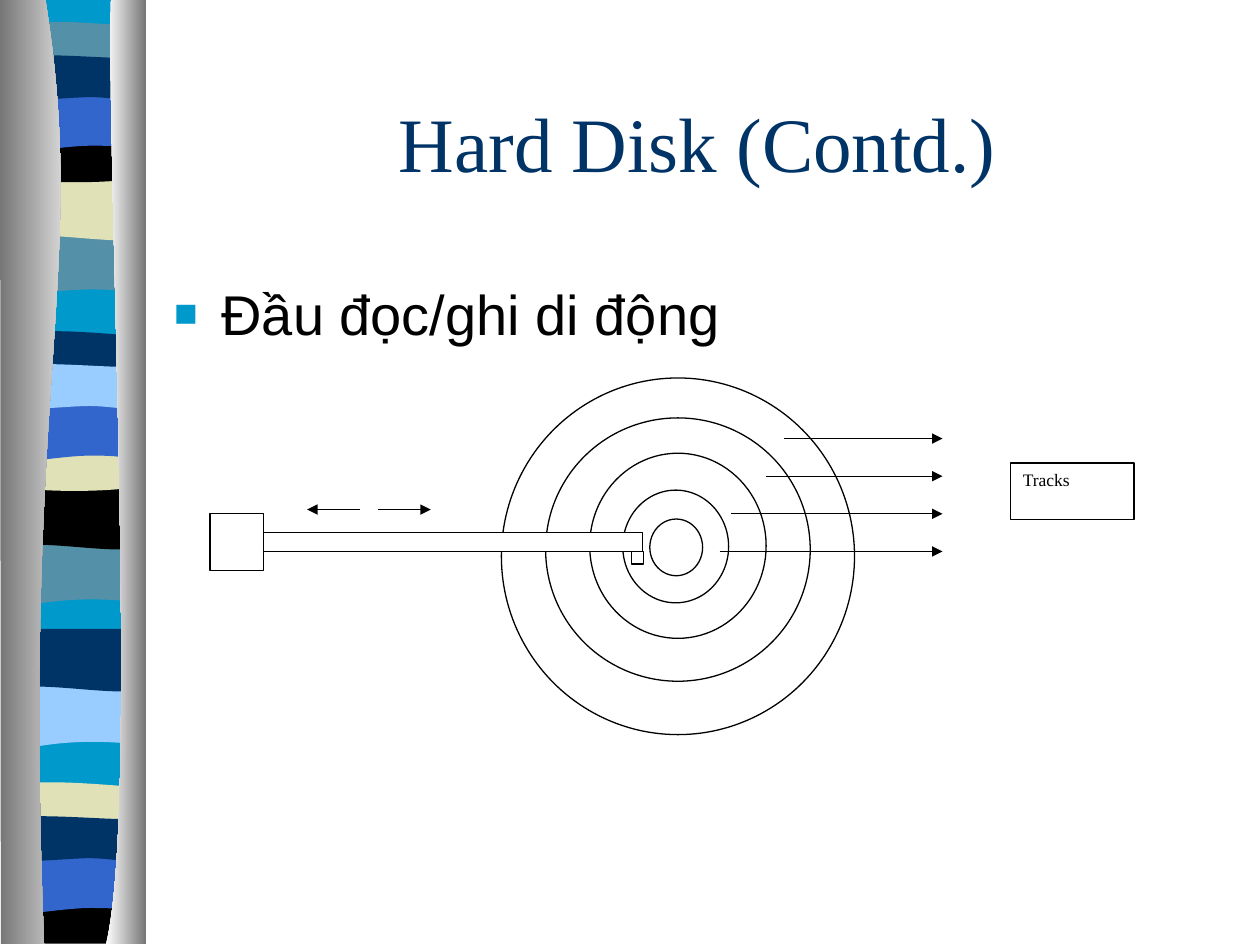
"""Build the hard disk slide with its moving head, tracks and decorative ribbon."""
from lxml.etree import SubElement
from pptx import Presentation
from pptx.dml.color import RGBColor
from pptx.enum.shapes import MSO_CONNECTOR as Connector, MSO_SHAPE as Preset
from pptx.enum.text import MSO_ANCHOR as Anchor, PP_ALIGN as Align
from pptx.oxml.ns import qn
from pptx.util import Pt

WHITE = RGBColor(0xFF, 0xFF, 0xFF)
BLACK = RGBColor(0x00, 0x00, 0x00)
GRAY = RGBColor(0x76, 0x76, 0x76)
NAVY = RGBColor(0x00, 0x33, 0x66)
CYAN = RGBColor(0x00, 0x99, 0xCC)
TEAL = RGBColor(0x54, 0x90, 0xA8)
SAND = RGBColor(0xE1, 0xE1, 0xB7)
BLUE = RGBColor(0x33, 0x66, 0xCC)
SKY = RGBColor(0x99, 0xCC, 0xFF)

TITLE_FORMAT = {"name": "Times New Roman", "size": Pt(44)}
BODY_FORMAT = {"name": "Arial", "size": Pt(32)}
LABEL_FORMAT = {"name": "Times New Roman", "size": Pt(10)}

PROFILES = {
    "wave": [[(78, 0)], [(78, 34)], [(24, 28), (13, 39.6), (0, 34)], [(0, 0)]],
    "flag": [[(78, 0)], [(78, 34)], [(65, 39.6), (24, 30), (0, 34)], [(0, 0)]],
    "ripple": [[(78, 3.6)], [(78, 21)], [(65, 24), (13, 24), (0, 21)], [(0, 3.6)],
               [(4.3, 0), (16.6, 0.7), (29.5, 0.7)],
               [(42.5, 0.7), (67.7, 2.9), (78, 3.6)]],
    "dome": [[(78, 0)], [(78, 23)], [(65, 27.4), (13, 27.4), (0, 23)], [(0, 0)],
             [(47.5, 3.6), (61, 0), (78, 0)]],
    "arch": [[(78, 0)], [(78, 34)], [(66, 30), (60.5, 30), (47.5, 30)],
             [(34.6, 30), (11.5, 34), (0, 34)], [(0, 0)]],
    "sway": [[(78, 3.6)], [(78, 26)], [(73, 29.5), (60.5, 26), (47.5, 26)],
             [(34.6, 26), (8, 29.5), (0, 26)], [(0, 3.6)],
             [(11, 0), (52.6, 3.6), (65.5, 3.6)], [(78.5, 3.6), (75, 3.6), (78, 3.6)]],
    "base": [[(78, 0)], [(78, 26.6)], [(0, 26.6)], [(0, 0)],
             [(47.5, 3.6), (61, 0), (78, 0)]],
    "backing": [[(78, 0)], [(78, 538.5)], [(0, 538.5)], [(0, 0)]],
    "left edge": [[(25.9, 0)], [(51, 156), (12.2, 214), (25.2, 540)], [(0.5, 540)], [(0, 0)]],
    "right edge": [[(3, 0)], [(0, 91), (19.5, 466), (0, 540)], [(23, 540)], [(23, 0)]],
}

BANDS = [
    ("backing", 4.3, -0.5, CYAN),
    ("wave", 4.3, 133.2, TEAL), ("flag", 4.3, 101.5, SAND), ("ripple", 4.3, 11.8, TEAL),
    ("dome", 4.3, 77.8, BLACK), ("arch", 4.3, 53.3, BLUE), ("sway", 4.3, 29.5, NAVY),
    ("wave", 3.6, 310.3, TEAL), ("flag", 3.6, 278.2, BLACK), ("ripple", 3.6, 188.6, NAVY),
    ("dome", 3.6, 254.2, SAND), ("arch", 3.6, 230.4, BLUE), ("sway", 3.6, 206, SKY),
    ("wave", 4.3, 391.7, SKY), ("flag", 4.3, 359.3, NAVY), ("ripple", 3.6, 446.4, SAND),
    ("base", 3.6, 512.6, BLACK), ("arch", 3.6, 488.9, BLUE), ("sway", 3.6, 464.4, NAVY),
]
RINGS = [(286.5, 216, 201.8, 203.8), (311.8, 238.8, 151.2, 150.5), (337, 259, 100.8, 105.8),
         (355.9, 280.1, 60.5, 64.4), (371.3, 296.6, 30.2, 32.4)]
ARM_PARTS = [(120, 293.5, 30.5, 32.4), (150.5, 304.3, 216.7, 10.8), (360.7, 315.1, 7, 7.2)]
TRACK_STARTS = [411.2, 417.6, 437.8, 447.8]
TRACK_END, TRACK_BOTTOM, TRACK_GAP = 538.6, 315.1, 21.5


def bend_segments(shape, segments):
    """Join the straight lines of each curved segment into one cubic curve."""
    lines = list(shape._element.iter(qn("a:lnTo")))
    for segment in segments:
        first, *others = lines[:len(segment)]
        lines = lines[len(segment):]
        if others:
            first.tag = qn("a:cubicBezTo")
        for line in others:
            first.append(line[0])
            line.getparent().remove(line)


def add_outline(slide, profile, left, top):
    """Add a borderless freeform that follows a named profile."""
    segments = PROFILES[profile]
    points = [(Pt(left + x), Pt(top + y)) for segment in segments for x, y in segment]
    builder = slide.shapes.build_freeform(*points[0])
    builder.add_line_segments(points[1:])
    shape = builder.convert_to_shape()
    bend_segments(shape, segments[1:])
    shape.shadow.inherit = False
    shape.line.fill.background()
    return shape


def add_band(slide, profile, left, top, color):
    """Add one plain band of the ribbon."""
    fill = add_outline(slide, profile, left, top).fill
    fill.solid()
    fill.fore_color.rgb = color


def add_edge(slide, profile, left, colors):
    """Add a shaded ribbon edge with a horizontal gradient."""
    fill = add_outline(slide, profile, left, -0.4).fill
    fill.gradient()
    fill.gradient_angle = 0
    for stop, color in zip(fill.gradient_stops, colors):
        stop.color.rgb = color


def add_part(slide, preset, box):
    """Add a white disk part with a thin black line."""
    shape = slide.shapes.add_shape(preset, *map(Pt, box))
    shape.shadow.inherit = False
    shape.fill.solid()
    shape.fill.fore_color.rgb = WHITE
    shape.line.color.rgb = BLACK
    shape.line.width = Pt(0.75)
    return shape


def add_arrow(slide, start, end, y):
    """Add a horizontal arrow pointing at its end."""
    arrow = slide.shapes.add_connector(Connector.STRAIGHT, Pt(start), Pt(y), Pt(end), Pt(y))
    arrow.line.color.rgb = BLACK
    arrow.line.width = Pt(0.75)
    SubElement(arrow.line._get_or_add_ln(), qn("a:tailEnd"), type="triangle")
    SubElement(arrow._element.spPr, qn("a:effectLst"))


def add_bullet(paragraph):
    """Give a paragraph a square bullet and a hanging indent."""
    properties = paragraph._p.get_or_add_pPr()
    properties.set("marL", str(Pt(27)))
    properties.set("indent", str(-Pt(27)))
    bullet_color = SubElement(properties, qn("a:buClr"))
    SubElement(bullet_color, qn("a:srgbClr"), val=str(CYAN))
    SubElement(properties, qn("a:buSzPct"), val="70000")
    SubElement(properties, qn("a:buFont"), typeface="Arial")
    SubElement(properties, qn("a:buChar"), char="■")


def write_text(shape, text, format_values, color, align=Align.LEFT, anchor=Anchor.TOP,
               bullet=False):
    """Write one formatted paragraph into a shape."""
    frame = shape.text_frame
    frame.word_wrap = True
    frame.vertical_anchor = anchor
    paragraph = frame.paragraphs[0]
    run = paragraph.add_run()
    run.text = text
    paragraph.alignment = align
    if bullet:
        add_bullet(paragraph)
    for name, value in format_values.items():
        setattr(run.font, name, value)
    run.font.color.rgb = color


def main():
    """Build and save the presentation."""
    presentation = Presentation()
    presentation.slide_width, presentation.slide_height = Pt(720), Pt(540)
    slide = presentation.slides.add_slide(presentation.slide_layouts[6])

    for band in BANDS:
        add_band(slide, *band)
    add_edge(slide, "left edge", 0, (GRAY, WHITE))
    add_edge(slide, "right edge", 60.5, (WHITE, GRAY))

    title = slide.shapes.add_textbox(Pt(92.5), Pt(36), Pt(612), Pt(90))
    write_text(title, "Hard Disk (Contd.)", TITLE_FORMAT, NAVY, Align.CENTER, Anchor.MIDDLE)
    body = slide.shapes.add_textbox(Pt(92.5), Pt(156), Pt(612), Pt(324))
    write_text(body, "Đầu đọc/ghi di động", BODY_FORMAT, BLACK, bullet=True)

    for ring in RINGS:
        add_part(slide, Preset.OVAL, ring)
    for arm_part in ARM_PARTS:
        add_part(slide, Preset.RECTANGLE, arm_part)
    for index, start in enumerate(TRACK_STARTS):
        add_arrow(slide, start, TRACK_END, TRACK_BOTTOM - index * TRACK_GAP)
    label = add_part(slide, Preset.RECTANGLE, (577.4, 264.5, 70.6, 32.4))
    write_text(label, "Tracks", LABEL_FORMAT, BLACK)
    add_arrow(slide, 205.9, 175.5, 291.2)
    add_arrow(slide, 216, 246.2, 291.2)

    presentation.save("out.pptx")


if __name__ == "__main__":
    main()
